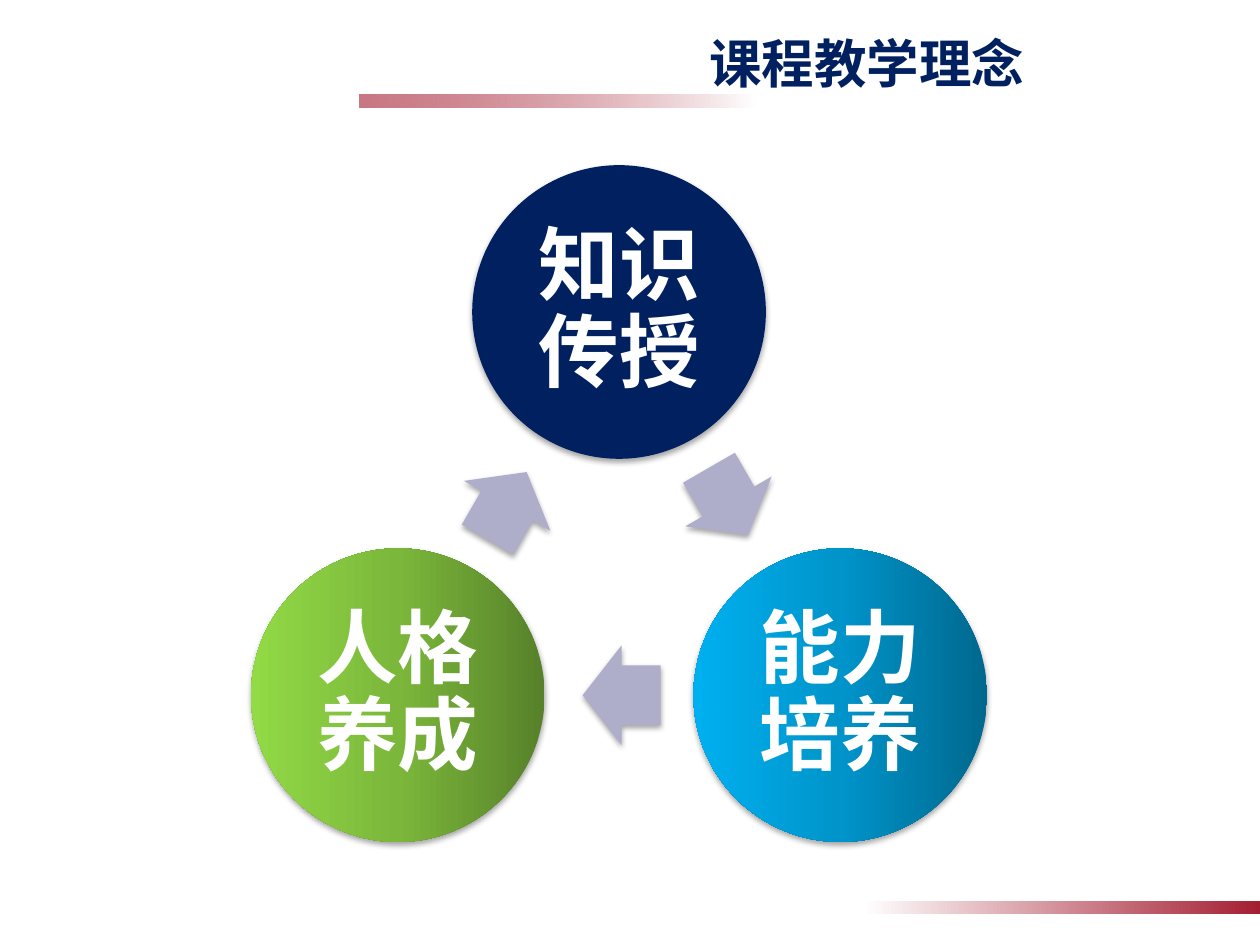
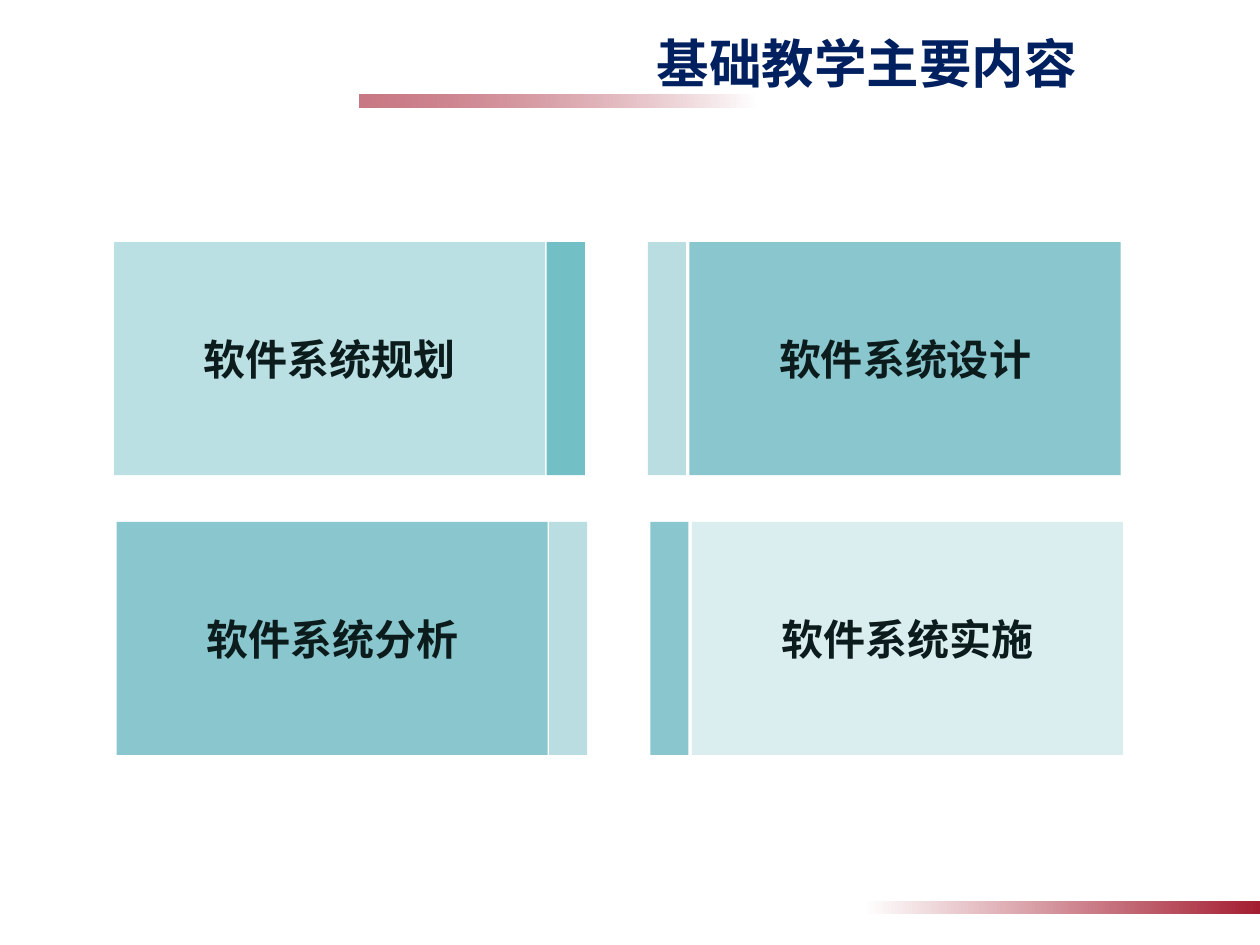
"""Build two course slides: a teaching cycle and a grid of topics."""
import math
from dataclasses import dataclass

from lxml import etree
from pptx import Presentation
from pptx import oxml
from pptx.dml.color import RGBColor
from pptx.enum import shapes, text
from pptx.oxml import ns
from pptx.util import Cm, Pt


@dataclass(frozen=True)
class Theme:
    navy: str = "002060"
    red: str = "A41E31"
    white: str = "FFFFFF"
    arrow: str = "AEAECA"
    ink: str = "0C1C1D"
    teal: str = "8AC6CD"
    deep_teal: str = "72BFC5"
    light_teal: str = "BBE0E3"
    soft_teal: str = "BADDE1"
    pale_teal: str = "DAEDEF"
    blue_stops: tuple = ((0, "00688E", 100), (50, "0094CA", 100), (100, "00B0F0", 100))
    green_stops: tuple = ((0, "57812A", 100), (50, "7BB73B", 100), (100, "92DA46", 100))
    latin_font: str = "Arial"
    chinese_font: str = "Noto Sans CJK SC"
    title_size: int = 30
    circle_size: int = 46
    card_size: int = 24


theme = Theme()


def write_text(frame, content, size, color, font=theme.latin_font,
               anchor=text.MSO_ANCHOR.MIDDLE, margins=(0.15, 0.15, 0.15, 0.15), spacing=1.0):
    frame.word_wrap = True
    frame.auto_size = text.MSO_AUTO_SIZE.NONE
    frame.vertical_anchor = anchor
    frame.margin_left, frame.margin_top, frame.margin_right, frame.margin_bottom = map(Cm, margins)
    paragraph = frame.paragraphs[0]
    paragraph.alignment = text.PP_ALIGN.CENTER
    paragraph.line_spacing = spacing
    run = paragraph.add_run()
    run.text = content
    run.font.name = font
    run.font.size = Pt(size)
    run.font.bold = True
    run.font.color.rgb = RGBColor.from_string(color)
    east_asian = etree.SubElement(run.font.fill and run._r.get_or_add_rPr(), ns.qn("a:ea"))
    east_asian.set("typeface", theme.chinese_font)


def add_block(slide, kind, left, top, width, height, fill, angle=0, rotation=0, shadow=False):
    shape = slide.shapes.add_shape(kind, Cm(left), Cm(top), Cm(width), Cm(height))
    shape.rotation = rotation
    shape.line.fill.background()
    shape.shadow.inherit = False
    properties = shape.element.spPr
    if isinstance(fill, str):
        shape.fill.solid()
        shape.fill.fore_color.rgb = RGBColor.from_string(fill)
    else:
        shape.fill.gradient()
        stops = "".join(
            f'<a:gs pos="{position * 1000}"><a:srgbClr val="{color}">'
            f'<a:alpha val="{alpha * 1000}"/></a:srgbClr></a:gs>'
            for position, color, alpha in fill)
        gradient = oxml.parse_xml(
            f'<a:gradFill {ns.nsdecls("a")} rotWithShape="1"><a:gsLst>{stops}</a:gsLst>'
            f'<a:lin ang="{angle * 60000}" scaled="0"/></a:gradFill>')
        properties.replace(properties.find(ns.qn("a:gradFill")), gradient)
    if shadow:
        properties.find(ns.qn("a:effectLst")).append(oxml.parse_xml(
            f'<a:outerShdw {ns.nsdecls("a")} blurRad="40000" dist="23000" dir="5400000" '
            'rotWithShape="0"><a:srgbClr val="000000"><a:alpha val="35000"/></a:srgbClr>'
            '</a:outerShdw>'))
    return shape


RECTANGLE = shapes.MSO_SHAPE.RECTANGLE
presentation = Presentation()
presentation.slide_width, presentation.slide_height = Cm(25.4), Cm(19.05)
layout = presentation.slide_layouts[5]

slides = []
for title in ("课程教学理念", "基础教学主要内容"):
    slide = presentation.slides.add_slide(layout)
    holder = slide.shapes.title
    holder.left, holder.top, holder.width, holder.height = Cm(9.55), Cm(0.53), Cm(15.85), Cm(1.6)
    write_text(holder.text_frame, title, theme.title_size, theme.navy, font=theme.chinese_font,
               anchor=text.MSO_ANCHOR.TOP, margins=(0.2, 0.1, 0.2, 0.13))
    slides.append(slide)
cycle_slide, topics_slide = slides

for left, top, alpha, rotation in ((7.24, 1.9, 60, 180), (17.4, 18.16, 100, 0)):
    band = add_block(cycle_slide, RECTANGLE, left, top, 8, 0.26,
                     ((0, theme.white, 100), (100, theme.red, alpha)), rotation=rotation)
    layout.shapes.element.append(band.element)

center_x, center_y, radius = 12.48, 11.44, 5.15
diameter = 5.92
arrow_width, arrow_height, arrow_setback = 1.57, 2.01, 0.05
stages = (
    ("知识传授", theme.navy),
    ("能力培养", theme.blue_stops),
    ("人格养成", theme.green_stops),
)
for index, (stage, fill) in enumerate(stages):
    degrees = index * 120 - 90
    angle = math.radians(degrees)
    circle = add_block(cycle_slide, shapes.MSO_SHAPE.OVAL,
                       center_x + radius * math.cos(angle) - diameter / 2,
                       center_y + radius * math.sin(angle) - diameter / 2,
                       diameter, diameter, fill, angle=180, shadow=True)
    write_text(circle.text_frame, stage, theme.circle_size, theme.white, spacing=0.9)

    middle = math.radians(degrees + 60)
    heading = degrees + 150
    travel = math.radians(heading)
    arrow_x = center_x + radius / 2 * math.cos(middle) - arrow_setback * math.cos(travel)
    arrow_y = center_y + radius / 2 * math.sin(middle) - arrow_setback * math.sin(travel)
    arrow = add_block(cycle_slide, shapes.MSO_SHAPE.RIGHT_ARROW,
                      arrow_x - arrow_width / 2, arrow_y - arrow_height / 2,
                      arrow_width, arrow_height, theme.arrow, rotation=heading, shadow=True)
    arrow.adjustments[0], arrow.adjustments[1] = 0.6, 0.5

card_width, strip_width, card_height = 8.69, 0.77, 4.7
card_lefts, strip_lefts = (2.3, 13.9), (11.02, 13.06)
first_top, row_pitch, row_shift = 4.88, 5.64, 0.05
topic_rows = (
    (("软件系统规划", theme.light_teal, theme.deep_teal),
     ("软件系统设计", theme.teal, theme.soft_teal)),
    (("软件系统分析", theme.teal, theme.soft_teal),
     ("软件系统实施", theme.pale_teal, theme.teal)),
)
for row, topics in enumerate(topic_rows):
    top = first_top + row * row_pitch
    shift = row * row_shift
    for (topic, card_fill, strip_fill), card_left, strip_left in zip(topics, card_lefts, strip_lefts):
        card = add_block(topics_slide, RECTANGLE, card_left + shift, top,
                         card_width, card_height, card_fill)
        write_text(card.text_frame, topic, theme.card_size, theme.ink)
        add_block(topics_slide, RECTANGLE, strip_left + shift, top,
                  strip_width, card_height, strip_fill)

presentation.save("out.pptx")
